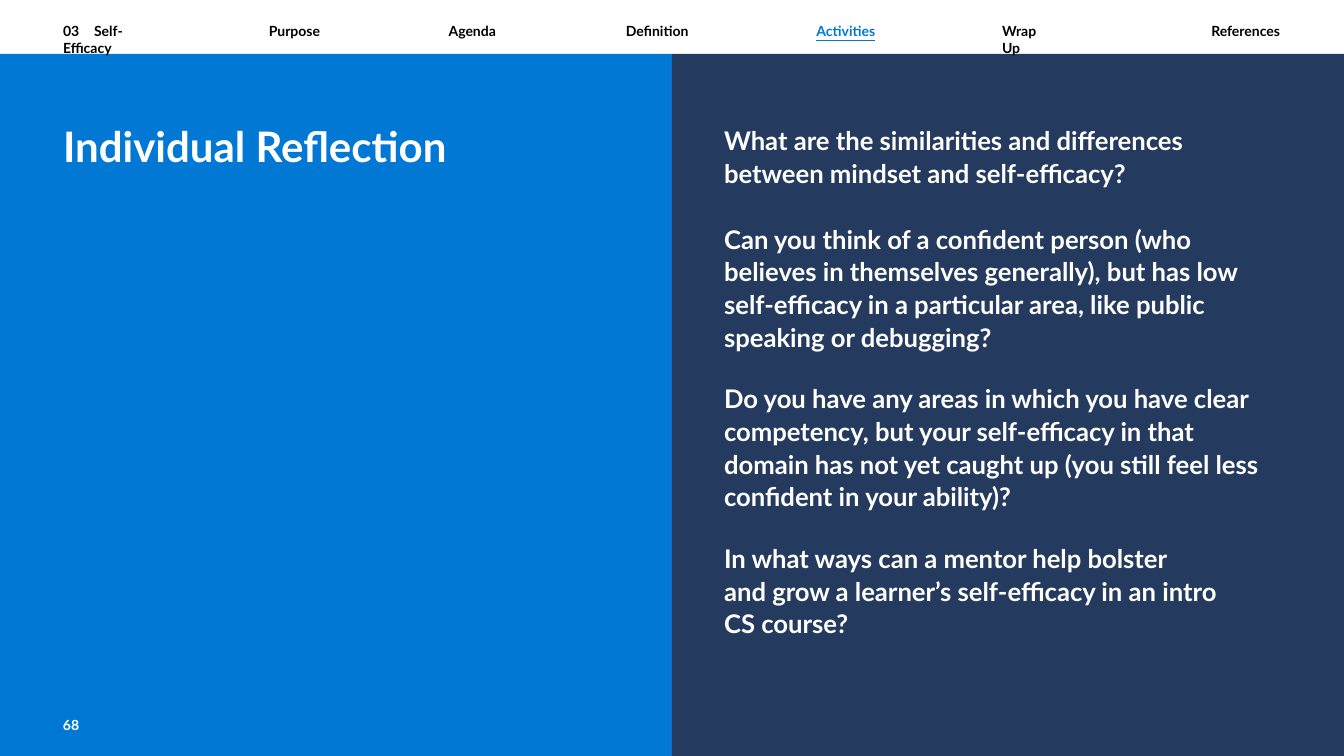
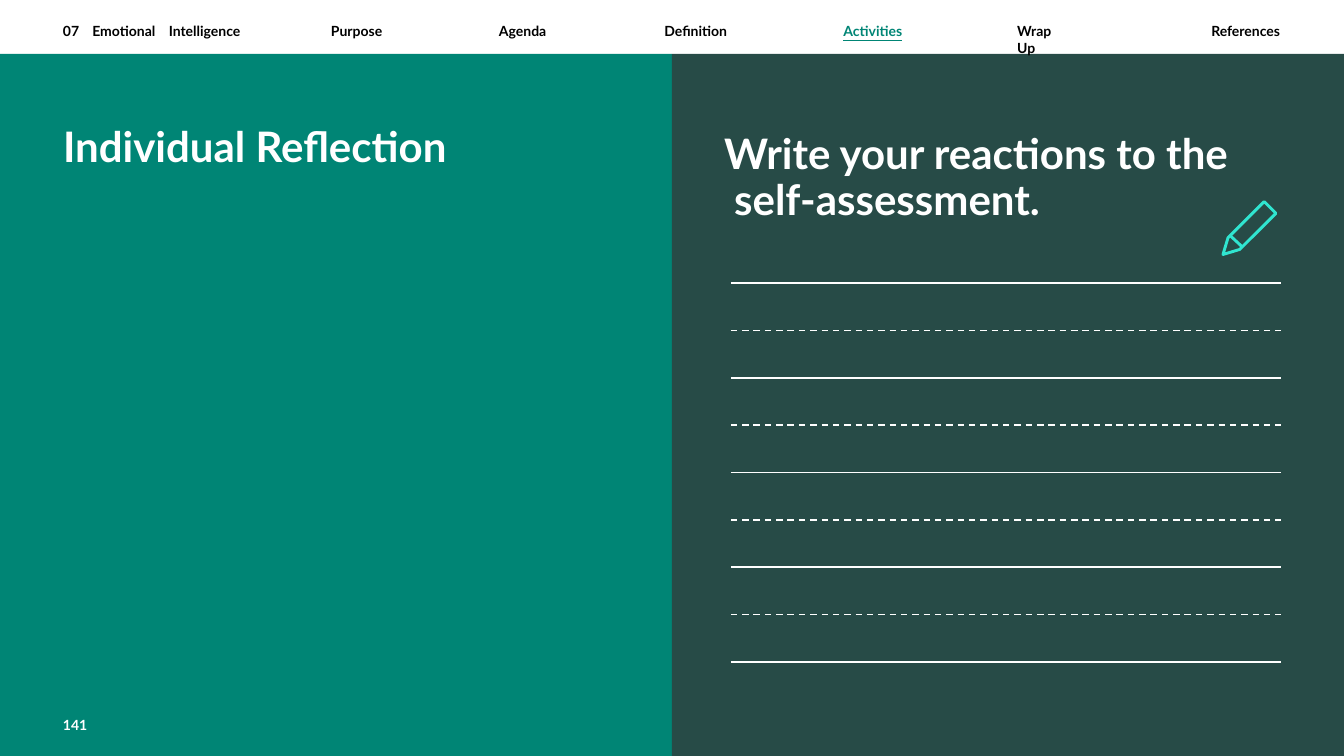
"""Build two reflection slides that share a navigation bar and a split layout."""
import dataclasses

import lxml.etree
import pptx
import pptx.dml.color
import pptx.enum.dml
import pptx.enum.shapes
import pptx.oxml.ns
import pptx.util

Inches = pptx.util.Inches
Pt = pptx.util.Pt
Color = pptx.dml.color.RGBColor.from_string
qn = pptx.oxml.ns.qn


@dataclasses.dataclass(frozen=True)
class Theme:
    font: str = "Lato"
    white: str = "FFFFFF"
    black: str = "000000"
    pencil: str = "30E5D0"
    small: int = 12
    body: int = 22
    title: int = 36
    bar_height: float = 0.64
    margin: float = 0.75
    column: float = 8.62


theme = Theme()


def add_text(slide, box, paragraphs, size, color, top_inset=0.02, tabs=()):
    """Add a wrapping bold text box and return its paragraphs."""
    frame = slide.shapes.add_textbox(*map(Inches, box)).text_frame
    frame.word_wrap = True
    frame.margin_left = frame.margin_right = frame.margin_bottom = 0
    frame.margin_top = Inches(top_inset)
    for index, text in enumerate(paragraphs):
        paragraph = frame.paragraphs[0] if index == 0 else frame.add_paragraph()
        paragraph.text = text
        if tabs:
            properties = paragraph._p.get_or_add_pPr()
            tab_list = lxml.etree.SubElement(properties, qn("a:tabLst"))
            for position in tabs:
                lxml.etree.SubElement(tab_list, qn("a:tab"), pos=str(Inches(position)), algn="l")
        paragraph.font.name = theme.font
        paragraph.font.size = Pt(size)
        paragraph.font.bold = True
        paragraph.font.color.rgb = Color(color)
    return frame.paragraphs


def add_line(slide, start, end, color, width):
    """Add a straight line without a shadow."""
    line = slide.shapes.add_connector(
        pptx.enum.shapes.MSO_CONNECTOR.STRAIGHT, *map(Inches, start + end))
    line.line.color.rgb = Color(color)
    line.line.width = Pt(width)
    lxml.etree.SubElement(line._element.spPr, qn("a:effectLst"))
    return line


navigation = [("Purpose", 0.64), ("Agenda", 0.61), ("Definition", 0.77),
              ("Activities", 0.71), ("Wrap\tUp", 0.8)]
sections = [
    dict(chapter="03\tSelf-Efficacy", chapter_width=1.29, chapter_tabs=[0.37],
         start=3.2, gap=1.5, accent="0078D4", dark="243A5E", page="68"),
    dict(chapter="07\tEmotional\tIntelligence", chapter_width=2.14, chapter_tabs=[0.35, 1.26],
         start=3.94, gap=1.36, accent="008575", dark="274B47", page="141"),
]

presentation = pptx.Presentation()
presentation.slide_width = Inches(16)
presentation.slide_height = Inches(9)

slides = []
for section in sections:
    slide = presentation.slides.add_slide(presentation.slide_layouts[6])
    slides.append(slide)
    panel_height = 9 - theme.bar_height
    for box, color in [((0, theme.bar_height, 8, panel_height), section["accent"]),
                       ((8, theme.bar_height, 8, panel_height), section["dark"]),
                       ((0, 0, 16, theme.bar_height), theme.white)]:
        panel = slide.shapes.add_shape(
            pptx.enum.shapes.MSO_SHAPE.RECTANGLE, *map(Inches, box))
        panel.shadow.inherit = False
        panel.fill.solid()
        panel.fill.fore_color.rgb = Color(color)
        panel.line.fill.background()

    add_text(slide, (theme.margin, 1.42, 4.62, 0.63), ["Individual Reflection"],
             theme.title, theme.white)
    add_text(slide, (theme.margin, 8.47, 0.36, 0.23), [section["page"]],
             theme.small, theme.white, top_inset=0.06)

    add_text(slide, (theme.margin, 0.25, section["chapter_width"], 0.23), [section["chapter"]],
             theme.small, theme.black, tabs=section["chapter_tabs"])
    left = section["start"]
    for label, width in navigation:
        active = label == "Activities"
        paragraphs = add_text(slide, (left, 0.25, width, 0.23), [label], theme.small,
                              section["accent"] if active else theme.black,
                              tabs=[0.59] if "\t" in label else ())
        if active:
            paragraphs[0].font.underline = True
        left += width + section["gap"]
    add_text(slide, (14.42, 0.25, 0.85, 0.23), ["References"], theme.small, theme.black)

question_slide, writing_slide = slides

opening = add_text(
    question_slide, (theme.column, 1.45, 5.6, 0.81),
    ["What are the similarities and differences between mindset and self-efficacy?"],
    theme.body, theme.white)
questions = add_text(
    question_slide, (theme.column, 2.62, 6.45, 5),
    ["Can you think of a confident person (who believes in themselves generally), but has low "
     "self-efficacy in a particular area, like public speaking or debugging?",
     "Do you have any areas in which you have clear competency, but your self-efficacy in that "
     "domain has not yet caught up (you still feel less confident in your ability)?",
     "In what ways can a mentor help bolster",
     "and grow a learner’s self-efficacy in an intro\vCS course?"],
    theme.body, theme.white)
for paragraph in (*opening, *questions):
    paragraph.line_spacing = 1.06
for paragraph in questions[1:3]:
    paragraph.space_before = Pt(25)

prompt = add_text(writing_slide, (theme.column, 1.42, 6.1, 1.18),
                  ["Write your reactions to the self-assessment."],
                  theme.title, theme.white, top_inset=0.14)[0]
prompt.line_spacing = Pt(40)
prompt_properties = prompt._p.get_or_add_pPr()
prompt_properties.set("marL", str(Inches(0.12)))
prompt_properties.set("indent", str(Inches(-0.12)))

first_rule, last_rule, rule_count = 3.37, 7.88, 9
for index in range(rule_count):
    top = first_rule + index * (last_rule - first_rule) / (rule_count - 1)
    rule = add_line(writing_slide, (8.7, top), (15.25, top), theme.white, 1.4)
    if index % 2:
        rule.line.dash_style = pptx.enum.dml.MSO_LINE.DASH

pencil_points = [(15.05, 2.4), (15.19, 2.54), (14.76, 2.97), (14.56, 3.03), (14.62, 2.83)]
corners = [(Inches(x), Inches(y)) for x, y in pencil_points]
builder = writing_slide.shapes.build_freeform(*corners[0])
builder.add_line_segments(corners[1:], close=True)
pencil = builder.convert_to_shape()
pencil.shadow.inherit = False
pencil.fill.solid()
pencil.fill.fore_color.rgb = Color(sections[1]["dark"])
pencil.line.color.rgb = Color(theme.pencil)
pencil.line.width = Pt(2.5)
add_line(writing_slide, (14.65, 2.81), (14.79, 2.94), theme.pencil, 2.5)

presentation.save("out.pptx")
